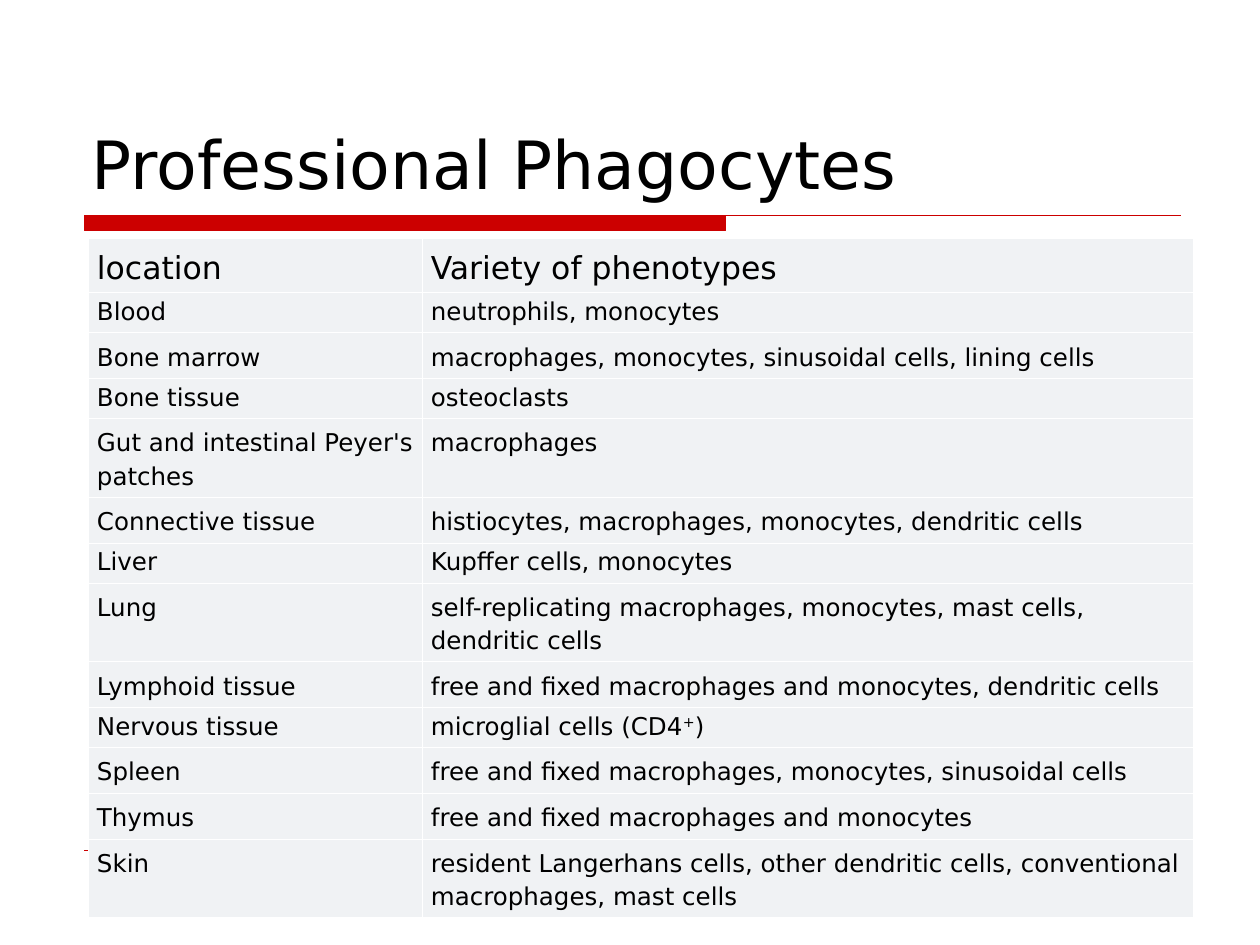
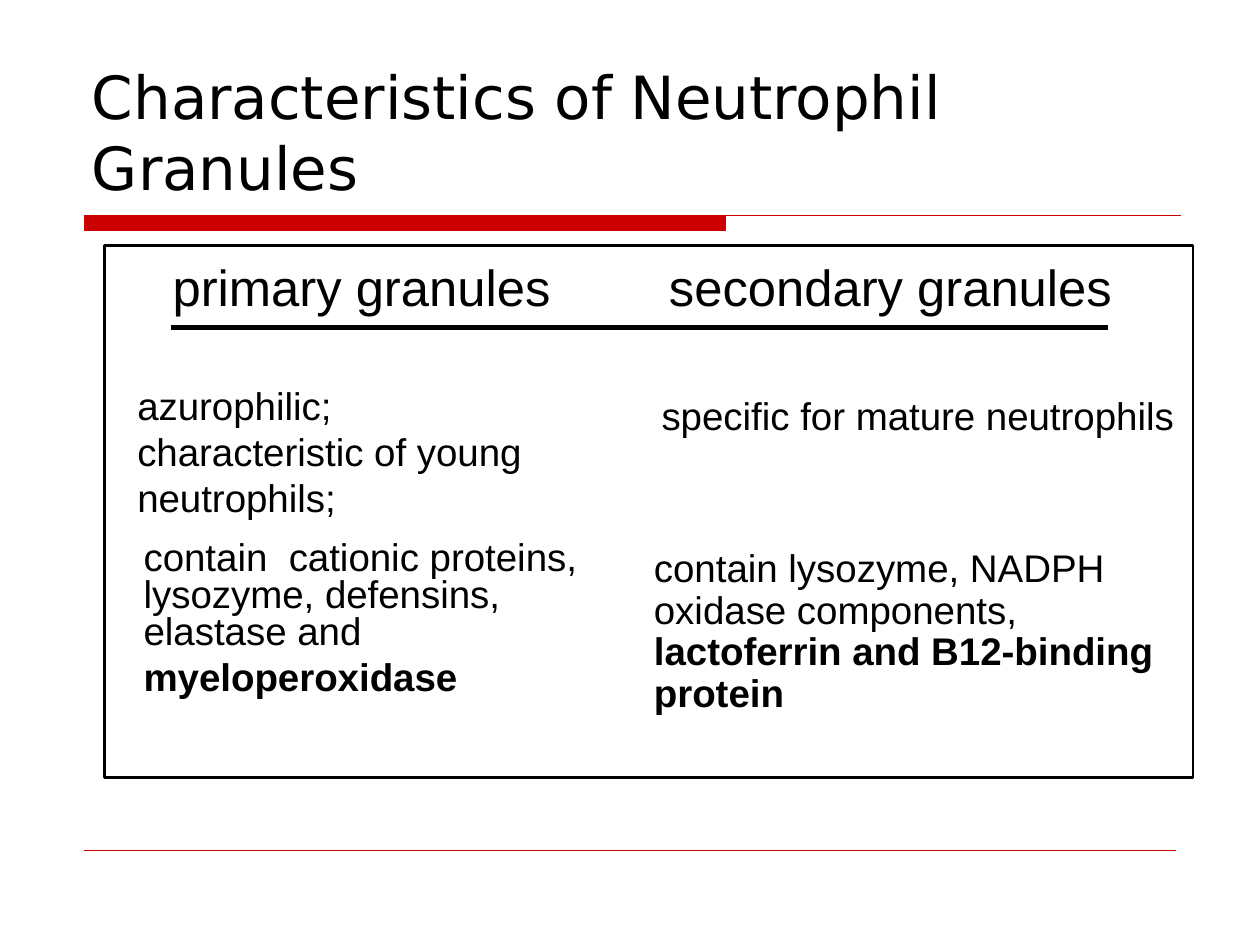
"""Build two slides on phagocytes and neutrophil granules."""
from dataclasses import dataclass

import pptx
import pptx.dml.color
import pptx.enum.shapes
import pptx.enum.text
import pptx.oxml
import pptx.oxml.ns
import pptx.util
from pptx.util import Inches

RGB = pptx.dml.color.RGBColor.from_string


@dataclass(frozen=True)
class Theme:
    """Colours, fonts and type sizes shared by the slides."""

    ink: str = "000000"
    accent: str = "CC0000"
    paper: str = "FFFFFF"
    cell: str = "F0F2F4"
    display_font: str = "DejaVu Sans"
    body_font: str = "Arial"
    title: int = 38
    long_title: int = 34
    granule_heading: int = 29
    granule_text: int = 22
    table_heading: int = 18
    table_text: int = 14


THEME = Theme()
SNUG = pptx.util.Pt(15.6)
ROOMY = 1.15
HEADING_INSETS = (0.08, 0, 0, 0)
NOTE_INSETS = (0.11, 0.06, 0.11, 0.06)

PHAGOCYTES = [
    ("Blood", "neutrophils, monocytes", 0.22),
    ("Bone marrow", "macrophages, monocytes, sinusoidal cells, lining cells", 0.3),
    ("Bone tissue", "osteoclasts", 0.22),
    ("Gut and intestinal Peyer's patches", "macrophages", 0.61),
    ("Connective tissue", "histiocytes, macrophages, monocytes, dendritic cells", 0.3),
    ("Liver", "Kupffer cells, monocytes", 0.22),
    ("Lung", "self-replicating macrophages, monocytes, mast cells, dendritic cells", 0.61),
    ("Lymphoid tissue", "free and fixed macrophages and monocytes, dendritic cells", 0.3),
    ("Nervous tissue", [("microglial cells (CD4", ""), ("+", "super"), (")", "")], 0.22),
    ("Spleen", "free and fixed macrophages, monocytes, sinusoidal cells", 0.3),
    ("Thymus", "free and fixed macrophages and monocytes", 0.3),
    ("Skin", "resident Langerhans cells, other dendritic cells, "
             "conventional macrophages, mast cells", 0.61),
]


def write(paragraph, content, size, font, spacing=None):
    """Add a string or a list of (text, style) runs to a paragraph."""
    runs = [(content, "")] if isinstance(content, str) else content
    paragraph.alignment = pptx.enum.text.PP_ALIGN.LEFT
    if spacing:
        paragraph.line_spacing = spacing
    for text, style in runs:
        run = paragraph.add_run()
        run.text = text
        run.font.name = font
        run.font.size = pptx.util.Pt(size)
        run.font.color.rgb = RGB(THEME.ink)
        run.font.bold = style == "bold"
        if style == "super":
            run._r.get_or_add_rPr().set("baseline", "30000")


def set_insets(frame, insets):
    """Set left, top, right and bottom margins of a cell or text frame."""
    (frame.margin_left, frame.margin_top,
     frame.margin_right, frame.margin_bottom) = map(Inches, insets)


def add_rule(slide, start, end, color, width):
    """Draw a straight line without a shadow."""
    rule = slide.shapes.add_connector(
        pptx.enum.shapes.MSO_CONNECTOR.STRAIGHT, *map(Inches, start + end))
    rule.line.color.rgb = RGB(color)
    rule.line.width = pptx.util.Pt(width)
    properties = rule._element.spPr
    properties.append(pptx.oxml.parse_xml(
        f"<a:effectLst {pptx.oxml.ns.nsdecls('a')}/>"))
    return rule


def add_title_band(slide):
    """Draw the thick and thin bar under the title."""
    left, top, bottom = Inches(0.67), Inches(1.71), Inches(1.83)
    middle, right = Inches(5.76), Inches(9.37)
    outline = slide.shapes.build_freeform(left, top, scale=1.0)
    outline.add_line_segments(
        [(middle, top), (middle, bottom), (left, bottom)], close=True)
    outline.move_to(left, top)
    outline.add_line_segments([(right, top)], close=False)
    band = outline.convert_to_shape()
    band.shadow.inherit = False
    band.fill.solid()
    band.fill.fore_color.rgb = RGB(THEME.accent)
    band.line.color.rgb = RGB(THEME.accent)
    band.line.width = pptx.util.Pt(0.75)
    return band


def prepare_layout(layout, slide):
    """Give the layout its title position, title band and footer line."""
    for holder in list(layout.placeholders):
        if holder.placeholder_format.idx:
            layout.shapes.element.remove(holder.element)
    heading = layout.placeholders[0]
    heading.left, heading.top = Inches(0.63), Inches(0.33)
    heading.width, heading.height = Inches(8.75), Inches(1.33)
    footer = add_rule(slide, (0.67, 6.75), (9.33, 6.75), THEME.accent, 0.25)
    for decoration in (add_title_band(slide), footer):
        layout.shapes.element.append(decoration._element)


def set_title(slide, text, size):
    """Fill the title placeholder."""
    frame = slide.shapes.title.text_frame
    frame.vertical_anchor = pptx.enum.text.MSO_ANCHOR.BOTTOM
    frame.auto_size = pptx.enum.text.MSO_AUTO_SIZE.NONE
    frame.word_wrap = True
    write(frame.paragraphs[0], text, size, THEME.display_font)


def style_cell(cell):
    """Give a table cell its fill, margins and white borders."""
    set_insets(cell, (0.07, 0.05, 0.07, 0.05))
    cell.fill.solid()
    cell.fill.fore_color.rgb = RGB(THEME.cell)
    properties = cell._tc.get_or_add_tcPr()
    for position, side in enumerate("LRTB"):
        properties.insert(position, pptx.oxml.parse_xml(
            f'<a:ln{side} {pptx.oxml.ns.nsdecls("a")} w="{pptx.util.Pt(0.45)}">'
            f'<a:solidFill><a:srgbClr val="{THEME.paper}"/></a:solidFill>'
            f"</a:ln{side}>"))


def add_phagocyte_table(slide):
    """Add the table of locations and phenotypes."""
    rows = [("location", "Variety of phenotypes", 0.39)] + PHAGOCYTES
    table = slide.shapes.add_table(
        len(rows), 2, Inches(0.7), Inches(1.89), Inches(8.77),
        Inches(sum(row[-1] for row in rows))).table
    table.first_row = table.horz_banding = False
    for column, width in zip(table.columns, (2.65, 6.12)):
        column.width = Inches(width)
    for index, (*contents, height) in enumerate(rows):
        table.rows[index].height = Inches(height)
        size = THEME.table_text if index else THEME.table_heading
        spacing = SNUG if height == 0.22 else ROOMY
        for cell, content in zip(table.rows[index].cells, contents):
            style_cell(cell)
            write(cell.text_frame.paragraphs[0], content, size,
                  THEME.display_font, spacing)


def add_granule_text(slide, box, paragraphs, size=THEME.granule_text,
                     insets=NOTE_INSETS, wrap=True):
    """Add a text box from (content, line spacing) paragraphs."""
    frame = slide.shapes.add_textbox(*map(Inches, box)).text_frame
    set_insets(frame, insets)
    frame.word_wrap = wrap
    frame.auto_size = pptx.enum.text.MSO_AUTO_SIZE.SHAPE_TO_FIT_TEXT
    for index, (content, spacing) in enumerate(paragraphs):
        paragraph = frame.add_paragraph() if index else frame.paragraphs[0]
        write(paragraph, content, size, THEME.body_font, spacing)


def add_granule_panel(slide):
    """Draw the outlined panel behind the granule comparison."""
    panel = slide.shapes.add_shape(
        pptx.enum.shapes.MSO_SHAPE.RECTANGLE,
        *map(Inches, (0.83, 1.95, 8.64, 4.22)))
    panel.shadow.inherit = False
    panel.fill.solid()
    panel.fill.fore_color.rgb = RGB(THEME.paper)
    panel.line.color.rgb = RGB(THEME.ink)
    panel.line.width = pptx.util.Pt(1.5)


def add_granule_comparison(slide):
    """Compare primary and secondary granules side by side."""
    add_granule_panel(slide)
    for left, heading in ((1.29, "primary granules"), (5.23, "secondary granules")):
        add_granule_text(slide, (left, 2.03, 3.94, 0.48), [(heading, None)],
                         THEME.granule_heading, HEADING_INSETS)
    add_rule(slide, (1.36, 2.6), (8.79, 2.6), THEME.ink, 3)
    add_granule_text(slide, (0.98, 2.97, 3.64, 1.21), [
        ("azurophilic; characteristic of young neutrophils;", None)])
    add_granule_text(slide, (1.06, 4.3, 3.56, 1.25), [
        ("contain  cationic proteins, lysozyme, defensins, elastase and", 0.8),
        ([("myeloperoxidase", "bold")], None)], insets=HEADING_INSETS)
    add_granule_text(slide, (5.14, 3.05, 4.29, 0.48), [
        ("specific for mature neutrophils", None)], wrap=False)
    add_granule_text(slide, (5.08, 4.3, 4.32, 1.43), [
        ([("contain lysozyme, NADPH oxidase components, ", ""),
          ("lactoferrin and B12-binding protein", "bold")], 0.9)])


def main():
    """Build and save the presentation."""
    deck = pptx.Presentation()
    deck.slide_width, deck.slide_height = Inches(10), Inches(7.5)
    layout = deck.slide_layouts.get_by_name("Title Only")
    phagocytes = deck.slides.add_slide(layout)
    prepare_layout(layout, phagocytes)
    set_title(phagocytes, "Professional Phagocytes", THEME.title)
    add_phagocyte_table(phagocytes)
    granules = deck.slides.add_slide(layout)
    set_title(granules, "Characteristics of Neutrophil Granules", THEME.long_title)
    add_granule_comparison(granules)
    deck.save("out.pptx")


if __name__ == "__main__":
    main()
